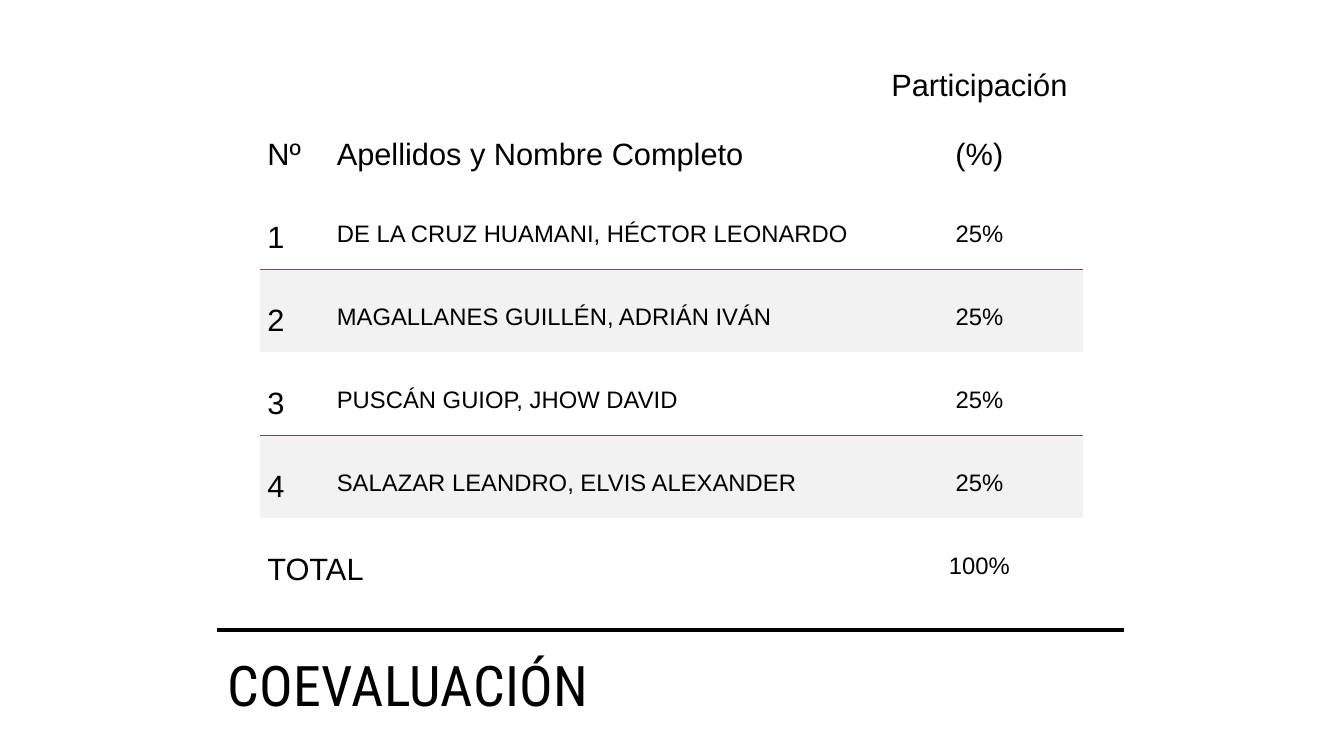
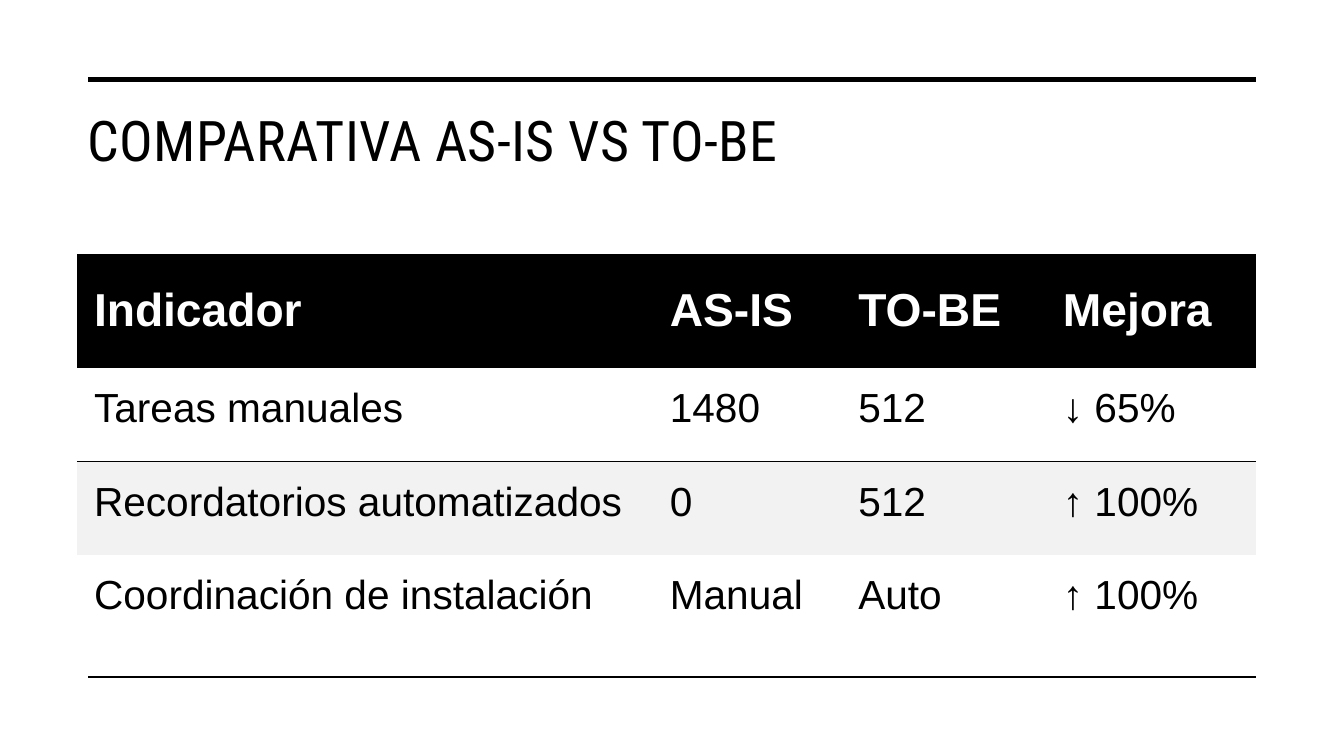
"""Build two slides, each with a ruled title and a striped table."""
import pptx
import pptx.dml.color
import pptx.enum.shapes
import pptx.enum.text
import pptx.oxml
import pptx.oxml.ns
import pptx.util

Pt = pptx.util.Pt
RGBColor = pptx.dml.color.RGBColor
ALIGN = pptx.enum.text.PP_ALIGN
ANCHOR = pptx.enum.text.MSO_ANCHOR
STRAIGHT = pptx.enum.shapes.MSO_CONNECTOR.STRAIGHT

BLACK = RGBColor(0x00, 0x00, 0x00)
WHITE = RGBColor(0xFF, 0xFF, 0xFF)
GREY = RGBColor(0xF2, 0xF2, 0xF2)
PLUM = RGBColor(0x73, 0x4B, 0x67)
PLAIN = "{2D5ABB26-0587-4C30-8999-92F81FD0307C}"
SPACE = pptx.oxml.ns.nsdecls("a")

PAGES = [
    {
        "title": "COEVALUACIÓN",
        "place": (155.3, 459.2, 470, 59),
        "lines": [(154.8, 802.8, 450, 3.5)],
        "start": (186, 20.2),
        "cols": [49.6, 390, 148],
        "rows": [112.8] + [59.3] * 5,
        "cells": [
            ["Nº", "Apellidos y Nombre Completo", "Participación\n(%)"],
            ["1", "DE LA CRUZ HUAMANI, HÉCTOR LEONARDO", "25%"],
            ["2", "MAGALLANES GUILLÉN, ADRIÁN IVÁN", "25%"],
            ["3", "PUSCÁN GUIOP, JHOW DAVID", "25%"],
            ["4", "SALAZAR LEANDRO, ELVIS ALEXANDER", "25%"],
            ["TOTAL", "", "100%"],
        ],
        "merge": [((5, 0), (5, 1))],
        "edge": PLUM,
        "aligns": [ALIGN.JUSTIFY, ALIGN.JUSTIFY, ALIGN.CENTER],
        "space": {22: Pt(49.2), 17: Pt(38)},
        "sizes": [22, 17, 17],
        "pads": (5, 0, 5, 10),
        "head": {"fill": None, "color": BLACK, "bold": False, "size": 22,
                 "anchor": ANCHOR.BOTTOM, "pads": (5, 0, 5, 10)},
    },
    {
        "title": "COMPARATIVA AS-IS VS TO-BE",
        "place": (55.4, 70, 842, 59),
        "lines": [(63, 897, 56.9, 3.5), (63, 897, 483.5, 1.25)],
        "start": (55, 181.4),
        "cols": [411.3, 134.6, 146.2, 149.8],
        "rows": [81.4] + [66.8] * 3,
        "cells": [
            ["Indicador", "AS-IS", "TO-BE", "Mejora"],
            ["Tareas manuales", "1480", "512", "↓ 65%"],
            ["Recordatorios automatizados", "0", "512", "↑ 100%"],
            ["Coordinación de instalación", "Manual", "Auto", "↑ 100%"],
        ],
        "merge": [],
        "edge": BLACK,
        "aligns": [ALIGN.LEFT] * 4,
        "space": {33: 1.0, 29: 1.0},
        "sizes": [29] * 4,
        "pads": (12.2, 8.6, 8.6, 17.3),
        "head": {"fill": BLACK, "color": WHITE, "bold": True, "size": 33,
                 "anchor": ANCHOR.MIDDLE, "pads": (12.2, 17.3, 8.6, 17.3)},
    },
]


def style(item, values):
    for key, value in values.items():
        setattr(item, key, value)


def border(cell, side, color):
    paint = "<a:noFill/>"
    if color is not None:
        paint = f'<a:solidFill><a:srgbClr val="{color}"/></a:solidFill>'
    line = pptx.oxml.parse_xml(
        f'<a:{side} {SPACE} w="12700">{paint}</a:{side}>')
    cell._tc.get_or_add_tcPr().insert(0, line)


deck = pptx.Presentation()
style(deck, {"slide_width": Pt(960), "slide_height": Pt(540)})

for page in PAGES:
    slide = deck.slides.add_slide(deck.slide_layouts[6])

    box = slide.shapes.add_textbox(*map(Pt, page["place"]))
    style(box.text_frame, {"word_wrap": True, "vertical_anchor": ANCHOR.MIDDLE})
    run = box.text_frame.paragraphs[0].add_run()
    run.text = page["title"]
    style(run.font, {"name": "Roboto Condensed", "size": Pt(40)})
    run.font.color.rgb = BLACK
    run._r.get_or_add_rPr().set("spc", "30")

    for left, right, top, width in page["lines"]:
        rule = slide.shapes.add_connector(
            STRAIGHT, Pt(left), Pt(top), Pt(right), Pt(top))
        rule.line.color.rgb = BLACK
        rule.line.width = Pt(width)
        rule._element.spPr.append(pptx.oxml.parse_xml(f"<a:effectLst {SPACE}/>"))

    cols, rows = page["cols"], page["rows"]
    size = sum(cols), sum(rows)
    frame = slide.shapes.add_table(
        len(rows), len(cols), *map(Pt, page["start"] + size))
    for mark in frame.element.iter(pptx.oxml.ns.qn("a:tableStyleId")):
        mark.text = PLAIN
    table = frame.table
    style(table, {"first_row": False, "horz_banding": False})
    for col, width in zip(table.columns, cols):
        col.width = Pt(width)
    for row, height in zip(table.rows, rows):
        row.height = Pt(height)
    for first, last in page["merge"]:
        table.cell(*first).merge(table.cell(*last))

    for r, texts in enumerate(page["cells"]):
        striped = r > 0 and r % 2 == 0
        above = r + 1 < len(rows) and r % 2 == 1
        for c, text in enumerate(texts):
            cell = table.cell(r, c)
            border(cell, "lnB", page["edge"] if above else None)
            border(cell, "lnT", page["edge"] if striped else None)
            if cell.is_spanned:
                continue
            look = page["head"] if r == 0 else {
                "fill": GREY if striped else None, "color": BLACK,
                "bold": False, "size": page["sizes"][c],
                "anchor": ANCHOR.MIDDLE, "pads": page["pads"]}
            sides = ("margin_left", "margin_top", "margin_right", "margin_bottom")
            style(cell, dict(zip(sides, map(Pt, look["pads"]))))
            style(cell, {"text": text, "vertical_anchor": look["anchor"]})
            for para in cell.text_frame.paragraphs:
                style(para, {"alignment": page["aligns"][c],
                             "line_spacing": page["space"][look["size"]]})
                for run in para.runs:
                    style(run.font, {"name": "Arial", "size": Pt(look["size"]),
                                     "bold": look["bold"]})
                    run.font.color.rgb = look["color"]
            if look["fill"] is None:
                cell.fill.background()
            else:
                cell.fill.solid()
                cell.fill.fore_color.rgb = look["fill"]

deck.save("out.pptx")
